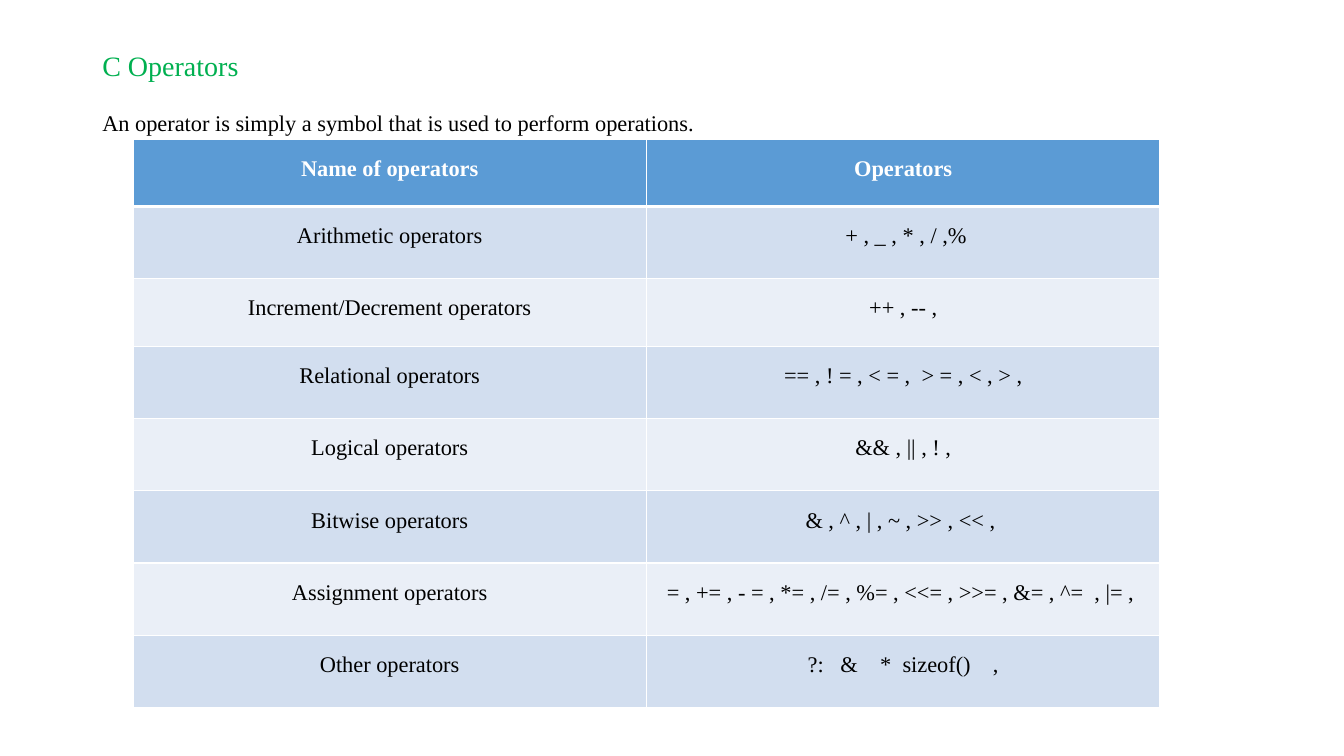
import dataclasses
import pptx
import pptx.dml.color
import pptx.enum.text
import pptx.oxml
import pptx.oxml.ns
import pptx.util

Pt = pptx.util.Pt


@dataclasses.dataclass(frozen=True)
class Theme:
    """Hold the colours, font and type sizes of the slide."""
    font: str = "Times New Roman"
    title_size: int = 20
    text_size: int = 16
    title: str = "00B050"
    text: str = "000000"
    light: str = "FFFFFF"
    header: str = "5B9BD5"
    bands: tuple = ("D2DEEF", "EAEFF7")


THEME = Theme()

OPERATORS = [
    ("Name of operators", "Operators"),
    ("Arithmetic operators", " + , _ , * , / ,%"),
    ("Increment/Decrement operators", "++ , -- ,"),
    ("Relational operators", "== , ! = , < = ,  > = , < , > ,"),
    ("Logical operators", "&& , || , ! ,"),
    ("Bitwise operators", "& , ^ , | , ~ , >> , << , "),
    ("Assignment operators", "= , += , - = , *= , /= , %= , <<= , >>= , &= , ^=  , |= , "),
    ("Other operators", "?:   &    *  sizeof()    ,"),
]
ROW_HEIGHTS = [48, 51.5, 48.5] + [51.6] * 5


def style_paragraph(p, size, color, bold=False):
    """Set the line spacing of a paragraph and the font of its runs."""
    p.line_spacing = 1.5
    for r in p.runs:
        r.font.name = THEME.font
        r.font.size = Pt(size)
        r.font.bold = bold
        r.font.color.rgb = pptx.dml.color.RGBColor.from_string(color)


def set_borders(cell, widths):
    """Draw light borders of the given widths, keyed by side L, R, T and B."""
    tcPr = cell._tc.get_or_add_tcPr()
    for i, (side, width) in enumerate(widths.items()):
        ln = pptx.oxml.parse_xml(
            f'<a:ln{side} {pptx.oxml.ns.nsdecls("a")} w="{Pt(width)}"><a:solidFill>'
            f'<a:srgbClr val="{THEME.light}"/></a:solidFill></a:ln{side}>')
        tcPr.insert(i, ln)


def add_intro(s, x, y, w, h):
    """Add the heading and the sentence below it."""
    sp = s.shapes.add_textbox(Pt(x), Pt(y), Pt(w), Pt(h))
    tf = sp.text_frame
    tf.word_wrap = True
    tf.text = "C Operators\nAn operator is simply a symbol that is used to perform operations."
    styles = [(THEME.title_size, THEME.title), (THEME.text_size, THEME.text)]
    for p, (size, color) in zip(tf.paragraphs, styles):
        p.space_before = Pt(10)
        style_paragraph(p, size, color)


def add_operator_table(s, x, y, w):
    """Add the banded table of operators."""
    columns = len(OPERATORS[0])
    table = s.shapes.add_table(len(OPERATORS), columns, Pt(x), Pt(y), Pt(w),
                               Pt(sum(ROW_HEIGHTS))).table
    for column in table.columns:
        column.width = Pt(w / columns)
    for i, (row, height) in enumerate(zip(table.rows, ROW_HEIGHTS)):
        row.height = Pt(height)
        is_header = i == 0
        fill = THEME.header if is_header else THEME.bands[(i - 1) % 2]
        color = THEME.light if is_header else THEME.text
        for cell, text in zip(row.cells, OPERATORS[i]):
            cell.fill.solid()
            cell.fill.fore_color.rgb = pptx.dml.color.RGBColor.from_string(fill)
            set_borders(cell, {"L": 1, "R": 1, "T": 3 if i == 1 else 1,
                               "B": 3 if is_header else 1})
            p = cell.text_frame.paragraphs[0]
            p.text = text
            p.alignment = pptx.enum.text.PP_ALIGN.CENTER
            style_paragraph(p, THEME.text_size, color, is_header)


def main():
    """Build and save the slide."""
    prs = pptx.Presentation()
    prs.slide_width, prs.slide_height = Pt(960), Pt(540)
    s = prs.slides.add_slide(prs.slide_layouts[6])
    add_intro(s, 66, 19, 828, 508)
    add_operator_table(s, 95, 99.4, 733.6)
    prs.save("out.pptx")


if __name__ == "__main__":
    main()
